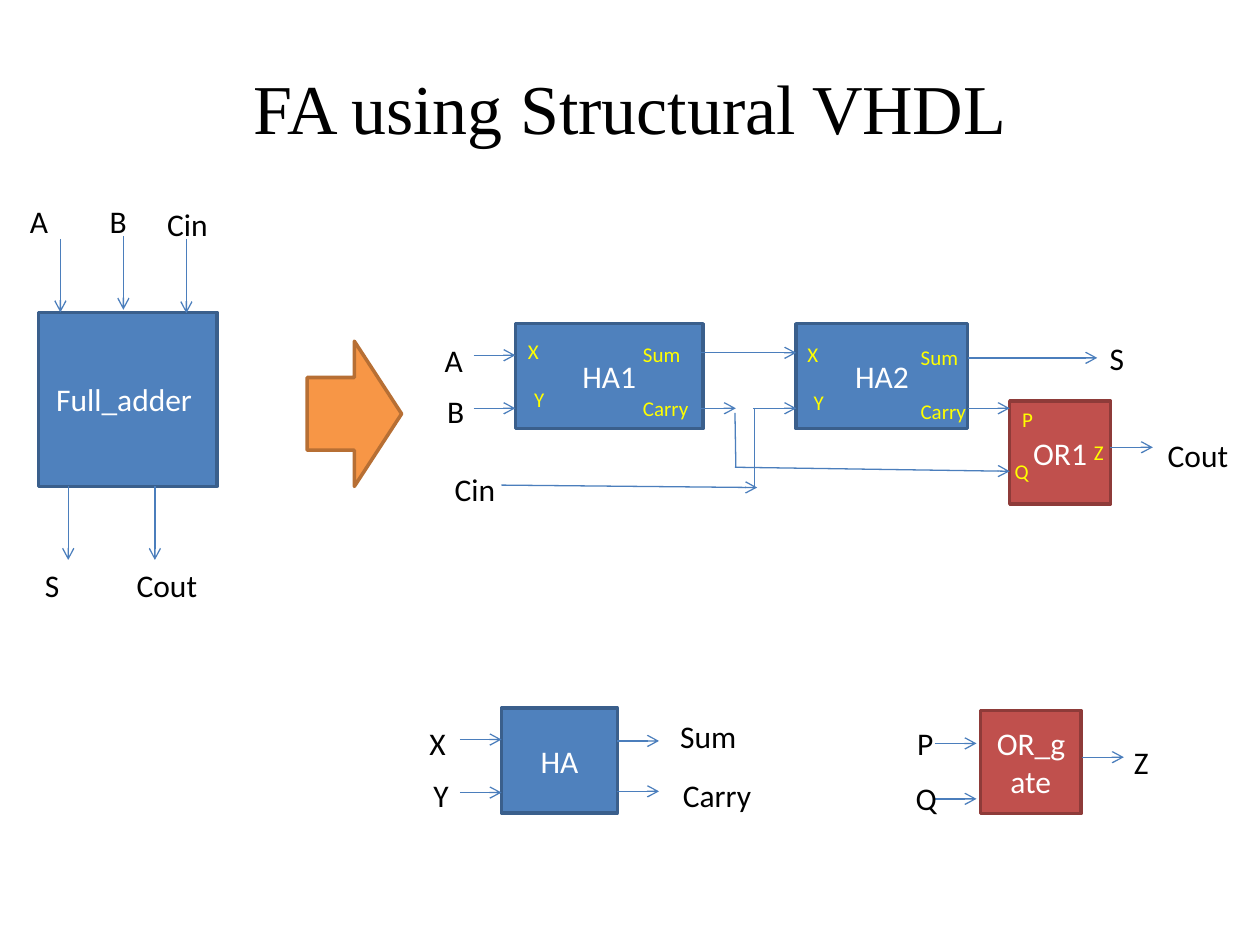
from pptx import Presentation
from pptx.dml.color import RGBColor
from pptx.enum.shapes import MSO_CONNECTOR, MSO_SHAPE
from pptx.enum.text import MSO_ANCHOR, PP_ALIGN
from pptx.oxml.ns import qn
from pptx.util import Pt
from lxml.etree import SubElement

COLORS = {
    "black": "000000", "white": "FFFFFF", "pin": "FFFF00", "wire": "4B7EBC",
    "blue": "4F81BD", "blue_edge": "3A5F8C",
    "red": "C0504D", "red_edge": "8E3B39",
    "orange": "F79646", "orange_edge": "B76F34",
}
LABEL = {"size": Pt(18), "name": "Calibri"}
PIN = {"size": Pt(12), "name": "Calibri"}
TITLE = {"size": Pt(40), "name": "Times New Roman"}
WIDTHS = {"Cin": 42, "Cout": 56, "Sum": 84, "Carry": 84}
PIN_WIDTHS = {"Sum": 40, "Carry": 44}


def rgb(name):
    return RGBColor.from_string(COLORS[name])


def write(sp, text, font, color, align=PP_ALIGN.LEFT, anchor=MSO_ANCHOR.TOP):
    tf = sp.text_frame
    tf.word_wrap = True
    tf.vertical_anchor = anchor
    p = tf.paragraphs[0]
    p.alignment = align
    r = p.add_run()
    r.text = text
    for key, value in font.items():
        setattr(r.font, key, value)
    r.font.color.rgb = rgb(color)


def solid(s, kind, box, color):
    sp = s.shapes.add_shape(kind, *map(Pt, box))
    sp.shadow.inherit = False
    sp.fill.solid()
    sp.fill.fore_color.rgb = rgb(color)
    sp.line.color.rgb = rgb(color + "_edge")
    sp.line.width = Pt(2)
    return sp


def block(s, box, name, color):
    sp = solid(s, MSO_SHAPE.RECTANGLE, box, color)
    write(sp, name, LABEL, "white", PP_ALIGN.CENTER, MSO_ANCHOR.MIDDLE)


def wires(s, box, ends, arrow=True):
    x, y = box[:2]
    for x1, y1, x2, y2 in ends:
        sp = s.shapes.add_connector(
            MSO_CONNECTOR.STRAIGHT, Pt(x + x1), Pt(y + y1), Pt(x + x2), Pt(y + y2))
        sp.line.color.rgb = rgb("wire")
        sp.line.width = Pt(0.75)
        if arrow:
            SubElement(sp.line._get_or_add_ln(), qn("a:tailEnd"), type="arrow")
        SubElement(sp._element.spPr, qn("a:effectLst"))


def labels(s, box, items, font=LABEL, color="black", widths=WIDTHS, height=29):
    x, y = box[:2]
    for text, dx, dy in items:
        sp = s.shapes.add_textbox(
            Pt(x + dx), Pt(y + dy), Pt(widths.get(text, 18)), Pt(height))
        write(sp, text, font, color)


def pins(s, box, items):
    labels(s, box, items, PIN, "pin", PIN_WIDTHS, 21.6)


def title(s, box, text):
    sp = s.shapes.add_textbox(*map(Pt, box))
    write(sp, text, TITLE, "black", PP_ALIGN.CENTER, MSO_ANCHOR.MIDDLE)


def full_adder(s, box):
    h = box[3]
    block(s, box, "Full_adder ", "blue")
    wires(s, box, [(12.5, -42, 12.5, 0), (48.5, -43.5, 48.5, -1.5), (84.5, -42, 84.5, 0.5)])
    wires(s, box, [(x, h, x, h + 42) for x in (17, 66.5)])
    labels(s, box, [("A", -12, -66.5), ("B", 33.5, -66.5), ("Cin", 66.5, -65),
                    ("S", -3.5, h + 42), ("Cout", 49, h + 42)])


def half_adder_instance(s, box, name, left, right, drop):
    w = box[2]
    block(s, box, name, "blue")
    pins(s, box, [("X", left, 5 + drop), ("Y", left + 3.6, 32.5 + drop),
                  ("Sum", w - right, 6.5 + drop), ("Carry", w - right, 37.5 + drop)])


def structure(s, box):
    x, y = box[:2]
    carry_y = 48.3
    or_box = (x + 330, y + 44, 57.6, 59)
    half_adder_instance(s, (x + 47.5, y, 107.3, 60), "HA1", 0, 41.5, 0)
    half_adder_instance(s, (x + 208, y, 98, 60), "HA2", -0.7, 34, 1.7)
    block(s, or_box, "OR1", "red")
    pins(s, or_box, [("P", 0, 0), ("Q", -4.3, 29.5), ("Z", 41, 18.7)])
    wires(s, box, [(x1, carry_y, x2, carry_y) for x1, x2 in
                   ((23.7, 47.5), (153.3, 173.5), (183.5, 208), (306, 330))])
    wires(s, box, [(23.7, 18, 47.5, 18), (153.3, 16.6, 208, 16.6),
                   (306, 19.5, 380, 19.5), (387.5, 70.6, 411.8, 70.6),
                   (39.5, 92.2, 185.7, 93.6), (173, 82, 330, 84.3)])
    wires(s, box, [(184.3, 93.6, 184.3, carry_y), (173.5, 82, 173, 51)], arrow=False)
    labels(s, box, [("A", 0, 6.5), ("B", 1.4, 35.3), ("Cin", 5.7, 80),
                    ("S", 380, 5), ("Cout", 413.2, 60.5)])


def half_adder(s, box):
    w = box[2]
    block(s, box, "HA", "blue")
    wires(s, box, [(-23.8, y, 0, y) for y in (18, 48.3)])
    wires(s, box, [(w, y, w + 23.8, y) for y in (18.8, 47.6)])
    labels(s, box, [("X", -48.3, 5.8), ("Y", -46.1, 35.3),
                    ("Sum", w + 28.8, 1.5), ("Carry", w + 30.3, 35.3)])


def or_gate(s, box):
    w = box[2]
    block(s, box, "OR_gate", "red")
    wires(s, box, [(-26, y, -2.2, y) for y in (18.8, 50.5)])
    wires(s, box, [(w + 0.6, 26.7, w + 24.4, 26.7)])
    labels(s, box, [("P", -43.2, 4.4), ("Q", -44, 35.4), ("Z", w + 23, 15.2)])


def main():
    prs = Presentation()
    prs.slide_width, prs.slide_height = Pt(720), Pt(540)
    s = prs.slides.add_slide(prs.slide_layouts[6])
    title(s, (36, 16, 648, 90), "FA using Structural VHDL")
    full_adder(s, (22, 178.5, 102, 99.5))
    solid(s, MSO_SHAPE.RIGHT_ARROW, (175.5, 195, 54, 83), "orange")
    structure(s, (247, 185, 465, 109))
    half_adder(s, (286.6, 404.6, 66.2, 60))
    or_gate(s, (560.2, 406, 57.6, 59))
    prs.save("out.pptx")


if __name__ == "__main__":
    main()
